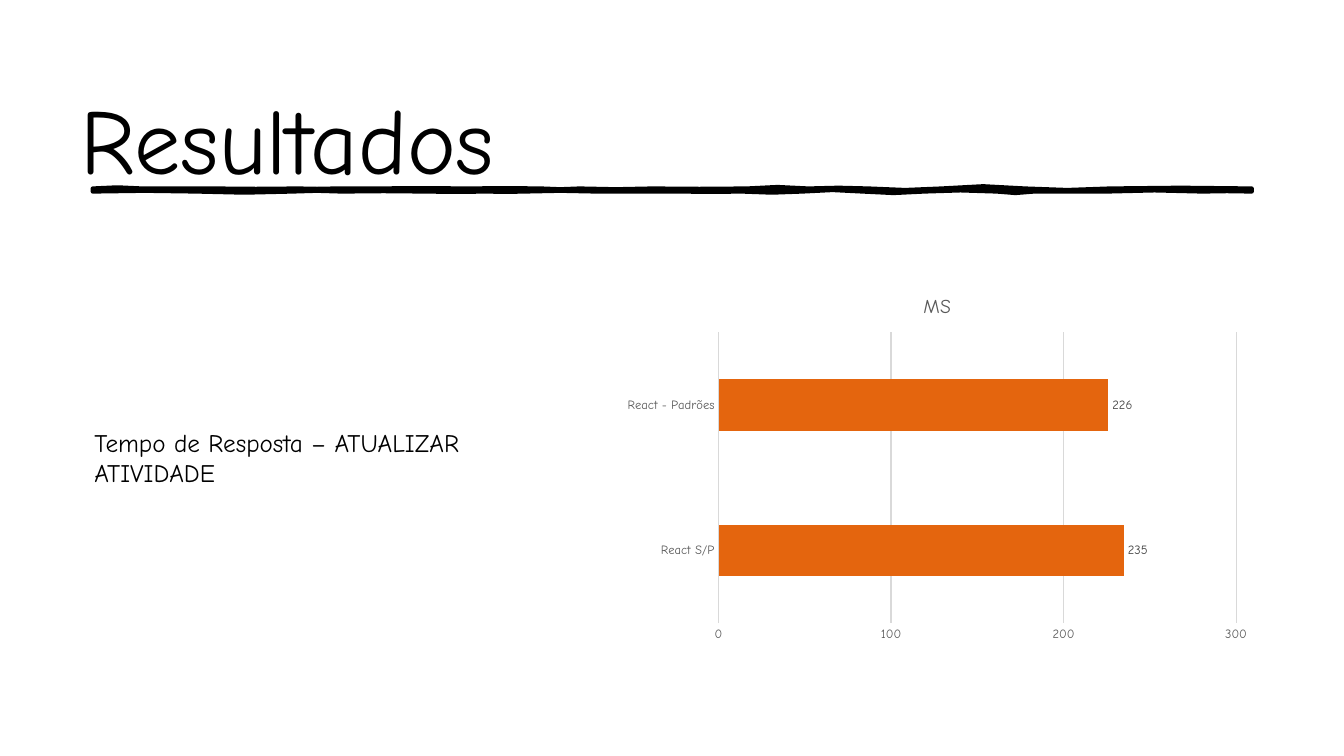
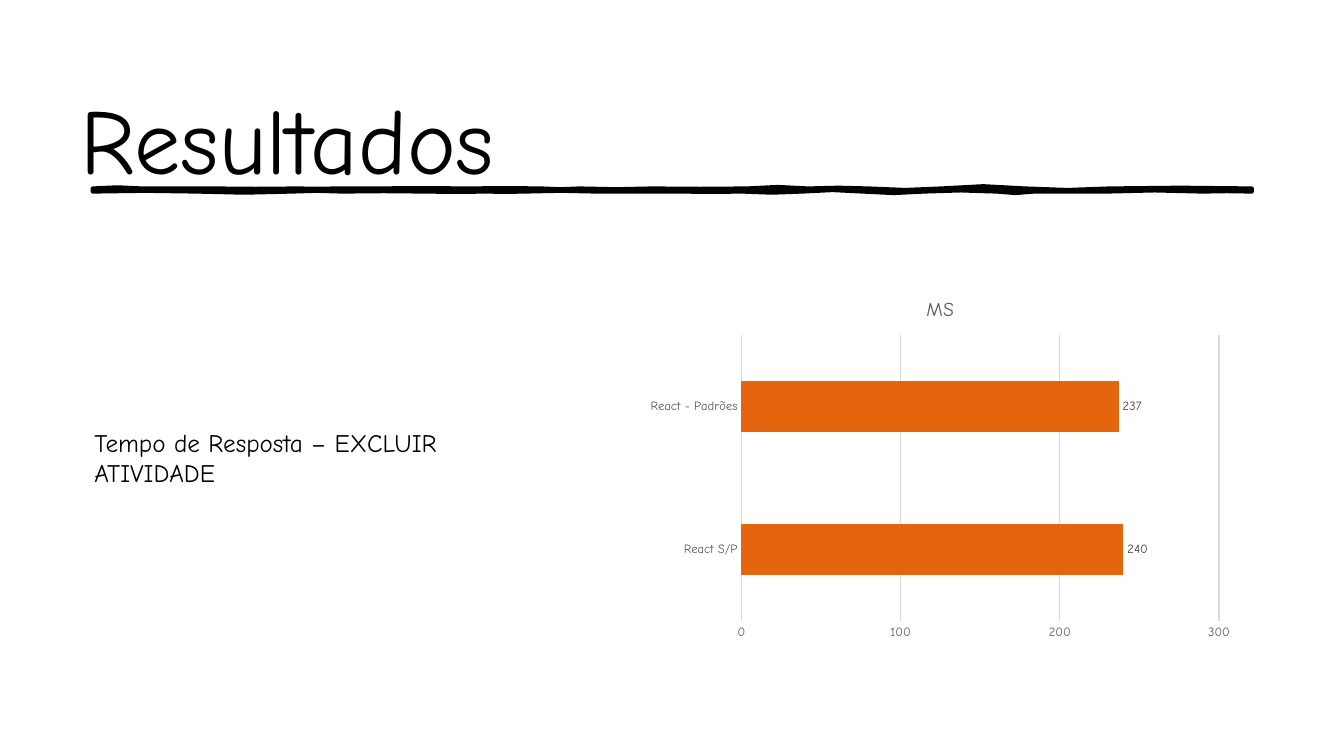
import pptx
import pptx.chart.data
import pptx.dml.color
import pptx.enum.chart
import pptx.enum.shapes
import pptx.enum.text
import pptx.util

Cm = pptx.util.Cm
Pt = pptx.util.Pt

FONT = "Comic Neue"
COLORS = {
    "ink": "000000",
    "paper": "FFFFFF",
    "bar": "E4650E",
    "axis_text": "595959",
    "label_text": "404040",
    "grid": "D9D9D9",
}

# Brush line under the title, in hundredths of an inch. Each edge is a list of
# (end x, first bend, second bend); bends are vertical offsets from the edge.
BRUSH_LEFT, BRUSH_RIGHT = 92, 1242
BRUSH_TOP, BRUSH_BOTTOM = 187, 190
BRUSH_UNIT = 0.0254
BEND_STEPS = 2
TOP_EDGE = [
    (141, -2, -1), (212, 1, -1), (296, 1, 0), (333, 0, 1), (371, -1, 1),
    (465, -1, 0), (537, 0, -1), (575, 1, 1), (647, -1, 3), (741, -3, 4),
    (802, -4, 0), (862, 0, -2), (934, 2, 2), (1017, -2, -4), (1101, 4, 0),
    (BRUSH_RIGHT, 0, -2),
]
BOTTOM_EDGE = [
    (1193, -1, 0), (1098, 0, -3), (1026, 3, -3), (989, 3, 1), (917, -1, -2),
    (856, 2, 2), (796, -2, -2), (736, 2, 1), (675, -1, 2), (592, -2, 2),
    (520, -2, 0), (483, 0, 1), (422, -1, 2), (339, -2, 1), (290, -1, -1),
    (195, 1, 2), (BRUSH_LEFT, -2, 0),
]

CATEGORIES = ["React S/P", "React - Padrões"]
RESULTS = [
    {"caption": "Tempo de Resposta – ATUALIZAR ATIVIDADE",
     "caption_area": (2.13, 10.64, 11.96, 1.02),
     "patch_area": (16.64, 12.32, 1.09, 2.01),
     "values": [235, 226], "chart_area": (15.49, 6.99, 16.26, 9.37)},
    {"caption": "Tempo de Resposta – EXCLUIR ATIVIDADE",
     "caption_area": (2.13, 10.64, 11.25, 1.8),
     "patch_area": (16.69, 12.52, 1.37, 2.01),
     "values": [240, 237], "chart_area": (16.09, 7.06, 15.21, 9.25)},
]


def rgb(name):
    """Return the named colour."""
    return pptx.dml.color.RGBColor.from_string(COLORS[name])


def lengths(area):
    """Turn left, top, width and height in centimetres into lengths."""
    return [Cm(value) for value in area]


def style_font(font, size, color):
    """Apply the deck's typeface with a size and a colour."""
    font.name = FONT
    font.size = Pt(size)
    font.bold = False
    font.color.rgb = rgb(color)


def paint(shape, color, width):
    """Give a shape one colour for fill and line, without a shadow."""
    shape.shadow.inherit = False
    shape.fill.solid()
    shape.fill.fore_color.rgb = rgb(color)
    shape.line.color.rgb = rgb(color)
    shape.line.width = Pt(width)


def write_text(frame, text, *, size, color="ink", spacing=None, anchor=None):
    """Fill a text frame with one left-aligned, formatted paragraph."""
    frame.word_wrap = True
    frame.auto_size = pptx.enum.text.MSO_AUTO_SIZE.NONE
    if anchor is not None:
        frame.vertical_anchor = anchor
    para = frame.paragraphs[0]
    para.alignment = pptx.enum.text.PP_ALIGN.LEFT
    para.line_spacing = spacing
    span = para.add_run()
    span.text = text
    style_font(span.font, size, color)


def edge_points(start, level, bends):
    """Yield the points of a wavy edge as lengths."""
    for end, first, second in bends:
        for step in range(1, BEND_STEPS + 1):
            t = step / BEND_STEPS
            x = start + (end - start) * t
            y = level + 3 * t * (1 - t) * (first * (1 - t) + second * t)
            yield Cm(x * BRUSH_UNIT), Cm(y * BRUSH_UNIT)
        start = end


def add_brush_line(page, layout):
    """Draw the brush line and move it to the shared layout."""
    points = list(edge_points(BRUSH_LEFT, BRUSH_TOP, TOP_EDGE))
    points.append((Cm(BRUSH_RIGHT * BRUSH_UNIT), Cm(BRUSH_BOTTOM * BRUSH_UNIT)))
    points += edge_points(BRUSH_RIGHT, BRUSH_BOTTOM, BOTTOM_EDGE)
    builder = page.shapes.build_freeform(
        Cm(BRUSH_LEFT * BRUSH_UNIT), Cm(BRUSH_TOP * BRUSH_UNIT))
    builder.add_line_segments(points, close=True)
    brush = builder.convert_to_shape()
    paint(brush, "ink", 3)
    layout.shapes.element.append(brush.element)


def add_caption(page, text, area):
    """Add the caption to the left of the chart."""
    box = page.shapes.add_textbox(*lengths(area))
    write_text(box.text_frame, text, size=18)


def add_patch(page, area):
    """Add the paper-coloured patch behind the chart's labels."""
    patch = page.shapes.add_shape(
        pptx.enum.shapes.MSO_SHAPE.RECTANGLE, *lengths(area))
    paint(patch, "paper", 1)


def style_axes(chart):
    """Format the category axis, the value axis and its gridlines."""
    for axis in (chart.category_axis, chart.value_axis):
        axis.major_tick_mark = pptx.enum.chart.XL_TICK_MARK.NONE
        axis.minor_tick_mark = pptx.enum.chart.XL_TICK_MARK.NONE
        style_font(axis.tick_labels.font, 9, "axis_text")
    scale = chart.value_axis
    scale.minimum_scale, scale.maximum_scale, scale.major_unit = 0, 300, 100
    scale.format.line.fill.background()
    scale.has_major_gridlines = True
    for line in (chart.category_axis.format.line, scale.major_gridlines.format.line):
        line.color.rgb = rgb("grid")
        line.width = Pt(0.75)


def add_time_chart(page, values, area):
    """Add the bar chart of response times."""
    data = pptx.chart.data.CategoryChartData()
    data.categories = CATEGORIES
    data.add_series("MS", values)
    chart = page.shapes.add_chart(
        pptx.enum.chart.XL_CHART_TYPE.BAR_CLUSTERED, *lengths(area), data).chart
    style_font(chart.font, 10, "ink")
    chart.has_legend = False
    chart.has_title = True
    title = chart.chart_title.text_frame.paragraphs[0].add_run()
    title.text = "MS"
    style_font(title.font, 14, "axis_text")
    chart.chart_title.include_in_layout = False
    style_axes(chart)

    plot = chart.plots[0]
    plot.gap_width = 182
    plot.vary_by_categories = False
    bars = plot.series[0]
    bars.format.fill.solid()
    bars.format.fill.fore_color.rgb = rgb("bar")
    labels = bars.data_labels
    labels.show_value = True
    labels.position = pptx.enum.chart.XL_LABEL_POSITION.OUTSIDE_END
    style_font(labels.font, 9, "label_text")


def add_result_page(deck, layout, result):
    """Add one page with a title, a caption and a chart."""
    page = deck.slides.add_slide(layout)
    write_text(page.shapes.title.text_frame, "Resultados", size=66, spacing=0.9,
               anchor=pptx.enum.text.MSO_ANCHOR.BOTTOM)
    add_caption(page, result["caption"], result["caption_area"])
    add_patch(page, result["patch_area"])
    add_time_chart(page, result["values"], result["chart_area"])
    return page


def main():
    """Build and save the deck."""
    deck = pptx.Presentation()
    deck.slide_width, deck.slide_height = Cm(33.87), Cm(19.05)
    layout = deck.slide_layouts.get_by_name("Title Only")
    title = layout.placeholders[0]
    title.left, title.top, title.width, title.height = lengths(
        (1.78, 0.93, 12.14, 4.11))
    pages = [add_result_page(deck, layout, result) for result in RESULTS]
    add_brush_line(pages[0], layout)
    deck.save("out.pptx")


main()
